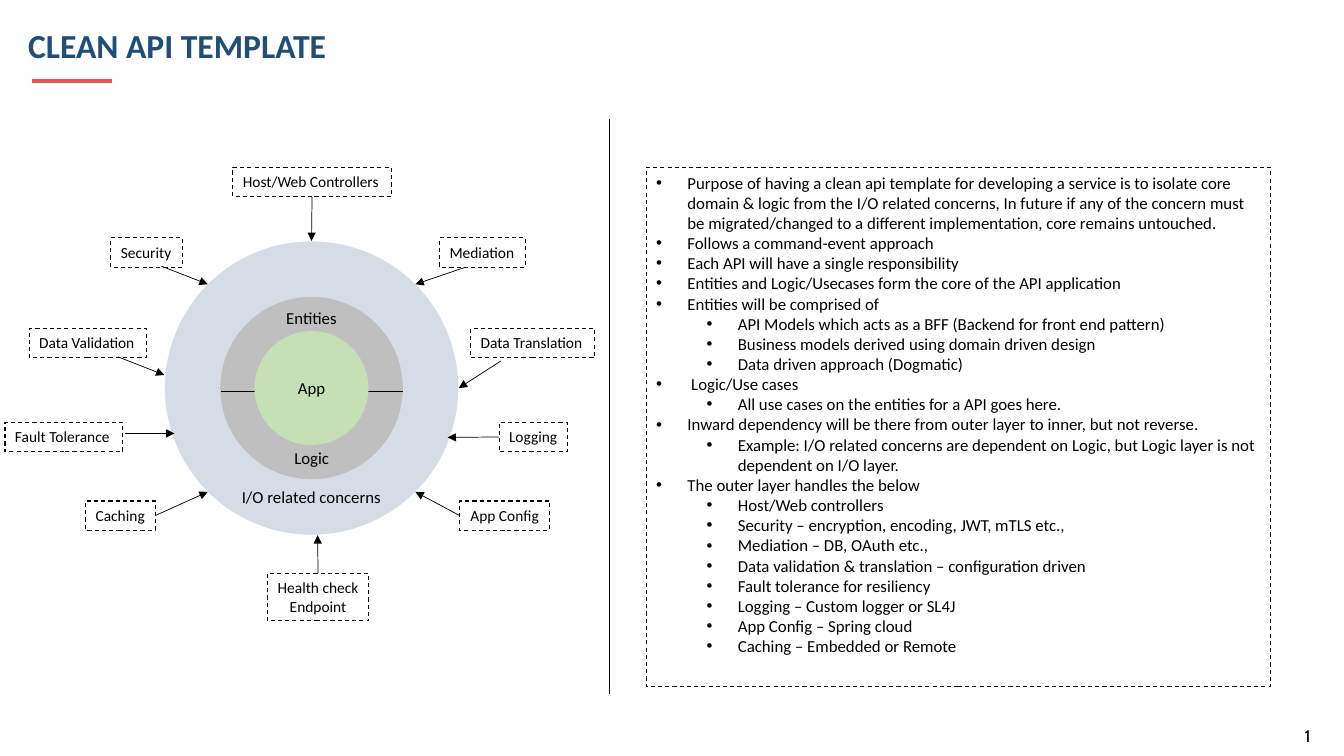
from lxml import etree
from pptx import Presentation
from pptx.dml.color import RGBColor
from pptx.enum import dml, shapes, text
from pptx.oxml import ns
from pptx.util import Inches, Pt

COLORS = {
    "black": "000000",
    "title": "1F4E79",
    "accent": "E55554",
    "outer": "D6DCE5",
    "core": "BFBFBF",
    "app": "C5E0B4",
}


def write(box, words, size=12, color="black", font="Calibri", bold=False,
          align=text.PP_ALIGN.LEFT, anchor=text.MSO_ANCHOR.TOP, wrap=True):
    frame = box.text_frame
    frame.text = words
    frame.word_wrap = wrap
    frame.vertical_anchor = anchor
    for para in frame.paragraphs:
        para.alignment = align
        for span in para.runs:
            span.font.name = font
            span.font.size = Pt(size)
            span.font.bold = bold
            span.font.color.rgb = RGBColor.from_string(COLORS[color])


def draw_line(start, end, color="black", width=0.5, arrow=False):
    line = page.shapes.add_connector(
        shapes.MSO_CONNECTOR.STRAIGHT, *map(Inches, start + end))
    line.line.color.rgb = RGBColor.from_string(COLORS[color])
    line.line.width = Pt(width)
    if arrow:
        etree.SubElement(line.line._get_or_add_ln(), ns.qn("a:tailEnd"), type="triangle")
    etree.SubElement(line._element.spPr, ns.qn("a:effectLst"))
    return line


deck = Presentation()
deck.slide_width = Inches(13.33)
deck.slide_height = Inches(7.5)
page = deck.slides.add_slide(deck.slide_layouts[6])

# Title and page number
number = page.shapes.add_textbox(Inches(12.84), Inches(7.15), Inches(0.45), Inches(0.3))
write(number, "1", font="Cabin")
draw_line((0.32, 0.8), (1.11, 0.8), "accent", 3)
title = page.shapes.add_textbox(Inches(0.18), Inches(0.15), Inches(10.81), Inches(0.65))
write(title, "CLEAN API TEMPLATE", 24, "title", bold=True, anchor=text.MSO_ANCHOR.MIDDLE)
title_para = title.text_frame.paragraphs[0]
title_para.line_spacing = 0.9
title_para.space_before = title_para.space_after = Pt(6)

# Concentric layers
center_x, center_y = 3.09, 3.85
for color, diameter in [("outer", 2.91), ("core", 1.81), ("app", 1.13)]:
    circle = page.shapes.add_shape(
        shapes.MSO_SHAPE.OVAL, Inches(center_x - diameter / 2),
        Inches(center_y - diameter / 2), Inches(diameter), Inches(diameter))
    circle.shadow.inherit = False
    circle.fill.solid()
    circle.fill.fore_color.rgb = RGBColor.from_string(COLORS[color])
    circle.line.fill.background()
    if color == "core":
        draw_line((2.19, 3.88), (4, 3.88))
write(circle, "App", align=text.PP_ALIGN.CENTER, anchor=text.MSO_ANCHOR.MIDDLE)

for words, left, top, width, wrap in [
    ("Entities", 2.74, 3, 0.71, False),
    ("Logic", 2.82, 4.39, 0.55, False),
    ("I/O related concerns", 2.3, 4.78, 1.6, True),
]:
    layer_name = page.shapes.add_textbox(Inches(left), Inches(top), Inches(width), Inches(0.3))
    write(layer_name, words, wrap=wrap)

draw_line((6.04, 1.18), (6.04, 6.89))

# Dashed boxes: words, left, top, width, height, arrow start, arrow end, joined side
concerns = [
    ("Host/Web Controllers", 2.31, 1.66, 1.57, 0.29, (3.09, 1.95), (3.09, 2.39), 2),
    ("Security", 1.1, 2.36, 0.71, 0.29, (1.6, 2.64), (2.06, 2.82), None),
    ("Mediation", 4.36, 2.36, 0.85, 0.29, (4.62, 2.65), (4.12, 2.82), None),
    ("Data Translation", 4.67, 3.26, 1.23, 0.29, (4.97, 3.58), (4.55, 3.85), None),
    ("Data Validation", 0.29, 3.26, 1.16, 0.29, (1.17, 3.54), (1.63, 3.72), None),
    ("Fault Tolerance", 0.05, 4.19, 1.17, 0.29, (1.24, 4.3), (1.73, 4.3), None),
    ("Caching", 0.85, 4.97, 0.69, 0.29, (1.54, 5.11), (2.06, 4.88), 3),
    ("Logging", 4.95, 4.19, 0.68, 0.29, (4.94, 4.34), (4.44, 4.34), 1),
    ("Health check\vEndpoint", 2.65, 5.69, 1.01, 0.47, (3.15, 5.73), (3.15, 5.31), 0),
    ("App Config", 4.56, 4.97, 0.89, 0.29, (4.54, 5.13), (4.12, 4.88), 1),
]
centered = ("Health check\vEndpoint", "App Config")

# Notes: indent level, words
notes = [
    (0, "Purpose of having a clean api template for developing a service is to isolate core "
        "domain & logic from the I/O related concerns, In future if any of the concern must "
        "be migrated/changed to a different implementation, core remains untouched."),
    (0, "Follows a command-event approach"),
    (0, "Each API will have a single responsibility"),
    (0, "Entities and Logic/Usecases form the core of the API application"),
    (0, "Entities will be comprised of"),
    (1, "API Models which acts as a BFF (Backend for front end pattern)"),
    (1, "Business models derived using domain driven design"),
    (1, "Data driven approach (Dogmatic)"),
    (0, " Logic/Use cases"),
    (1, "All use cases on the entities for a API goes here."),
    (0, "Inward dependency will be there from outer layer to inner, but not reverse."),
    (1, "Example: I/O related concerns are dependent on Logic, but Logic layer is not "
        "dependent on I/O layer."),
    (0, "The outer layer handles the below"),
    (1, "Host/Web controllers"),
    (1, "Security – encryption, encoding, JWT, mTLS etc.,"),
    (1, "Mediation – DB, OAuth etc.,"),
    (1, "Data validation & translation – configuration driven"),
    (1, "Fault tolerance for resiliency"),
    (1, "Logging – Custom logger or SL4J"),
    (1, "App Config – Spring cloud"),
    (1, "Caching – Embedded or Remote"),
]
panel = ("\n".join(words for level, words in notes), 6.41, 1.66, 6.19, 5.15, None, None, None)

for words, left, top, width, height, start, end, side in [panel] + concerns:
    box = page.shapes.add_shape(
        shapes.MSO_SHAPE.RECTANGLE, Inches(left), Inches(top), Inches(width), Inches(height))
    box.shadow.inherit = False
    box.fill.background()
    box.line.color.rgb = RGBColor.from_string(COLORS["black"])
    box.line.width = Pt(0.75)
    box.line.dash_style = dml.MSO_LINE.DASH
    if start is None:
        write(box, words)
        for para, (level, _) in zip(box.text_frame.paragraphs, notes):
            para.level = level
            props = para._p.get_or_add_pPr()
            props.set("marL", str(Inches(0.31 + 0.5 * level)))
            props.set("indent", str(Inches(-0.31)))
            etree.SubElement(props, ns.qn("a:buFont"), typeface="Arial")
            etree.SubElement(props, ns.qn("a:buChar"), char="•")
        continue
    align = text.PP_ALIGN.CENTER if words in centered else text.PP_ALIGN.LEFT
    write(box, words, 11, align=align, wrap=False)
    arrow = draw_line(start, end, arrow=True)
    if side is not None:
        arrow.begin_connect(box, side)

deck.save("out.pptx")
